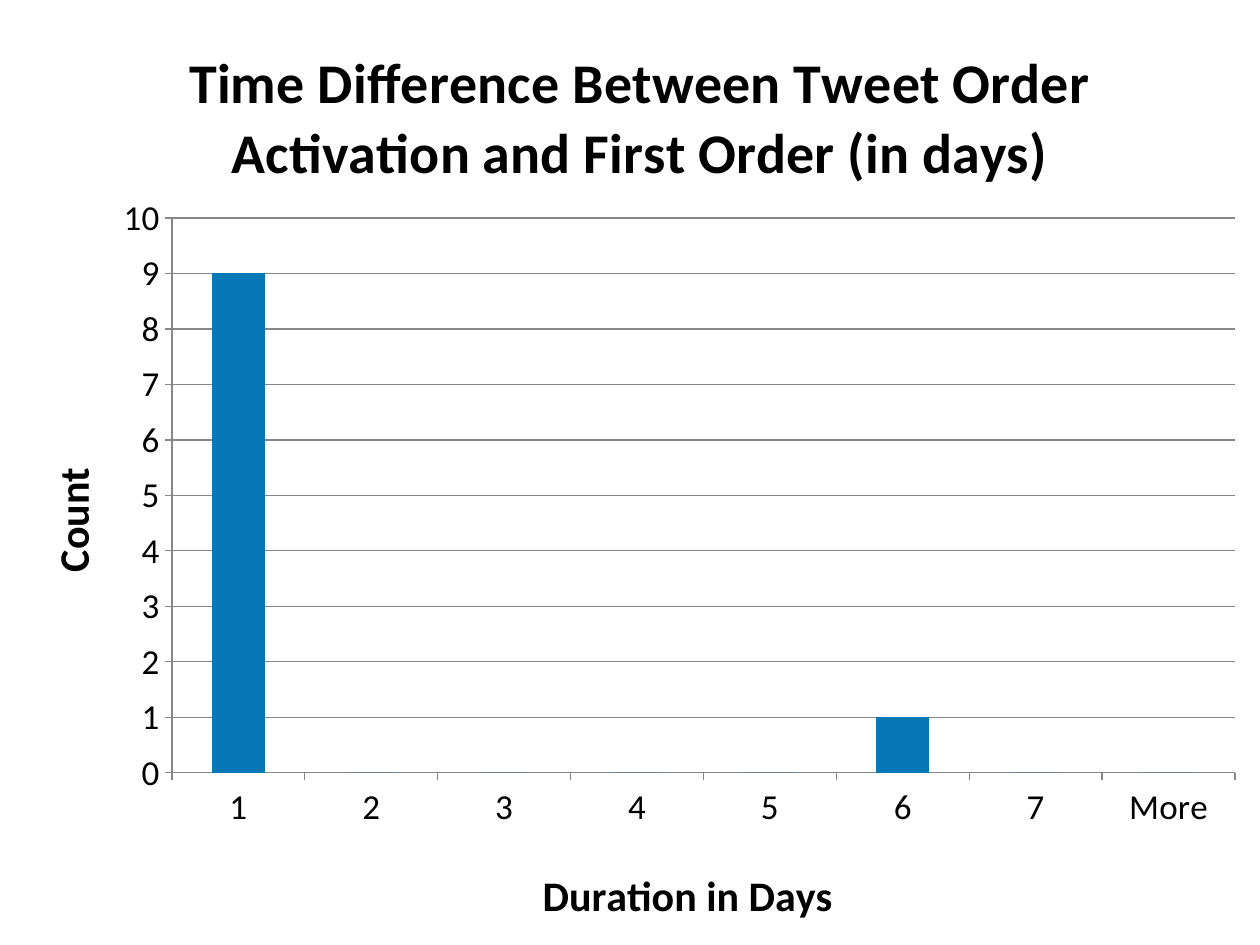
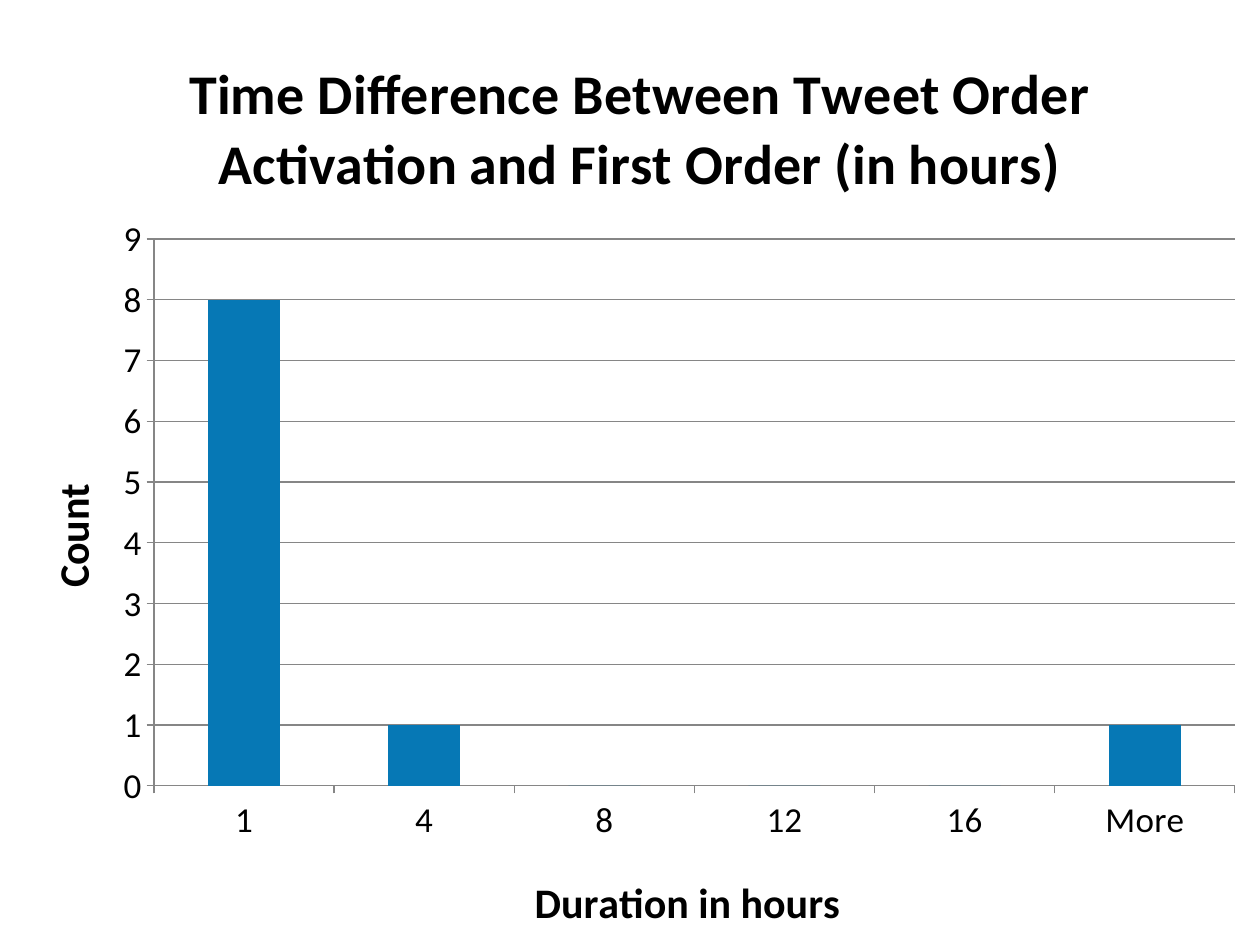
from pptx import Presentation, util as u
from pptx.chart import data as cd
from pptx.dml import color
from pptx.enum import chart as ce
from pptx.oxml import parse_xml
from pptx.oxml.ns import qn

PX = 914400 // 126
WIDE, HIGH = 1260, 945
FONT = "Calibri"
HUES = {"page": "FFFFFF", "ink": "000000", "bar": "0678B5", "rule": "868686"}
NS = "http://schemas.openxmlformats.org/drawingml/2006/chart"


def rgb(name):
    """Look up a named colour."""
    return color.RGBColor.from_string(HUES[name])


def style(font, size, bold=False):
    """Apply the shared typeface and ink to a font."""
    font.name, font.size, font.bold = FONT, u.Pt(size), bold
    font.color.rgb = rgb("ink")


def layout(left, top, width=None, height=None):
    """Build a manual chart layout from px."""
    plot = width is not None
    parts = ['<c:layoutTarget val="inner"/>'] if plot else []
    parts += ['<c:xMode val="edge"/><c:yMode val="edge"/>']
    parts += [f'<c:x val="{left / WIDE:.4f}"/><c:y val="{top / HIGH:.4f}"/>']
    if plot:
        parts += [f'<c:w val="{width / WIDE:.4f}"/><c:h val="{height / HIGH:.4f}"/>']
    body = "".join(parts)
    return parse_xml(f'<c:layout xmlns:c="{NS}"><c:manualLayout>{body}</c:manualLayout></c:layout>')


def label(owner, words, size=24, spot=(0, 0)):
    """Give a chart or an axis a bold title at a px spot."""
    owner.has_title = True
    title = owner.chart_title if hasattr(owner, "chart_title") else owner.axis_title
    para = title.text_frame.paragraphs[0]
    run = para.add_run()
    run.text = words
    style(para.font, size, bold=True)
    style(run.font, size, bold=True)
    node = title.element
    for old in node.findall(qn("c:layout")):
        node.remove(old)
    node.find(qn("c:tx")).addnext(layout(*spot))


def ruler(axis):
    """Style the line, ticks and labels of an axis."""
    axis.major_tick_mark = ce.XL_TICK_MARK.OUTSIDE
    axis.minor_tick_mark = ce.XL_TICK_MARK.NONE
    style(axis.tick_labels.font, 20)
    axis.format.line.color.rgb = rgb("rule")
    axis.format.line.width = u.Pt(0.75)


def place(chart, box):
    """Fix the inner plot area to a px box."""
    area = chart.element.find(".//" + qn("c:plotArea"))
    for old in area.findall(qn("c:layout")):
        area.remove(old)
    area.insert(0, layout(*box))


def bars(deck, unit, name, cats, vals, top, box, spots):
    """Add a slide filled by one histogram."""
    slide = deck.slides.add_slide(deck.slide_layouts[6])
    slide.background.fill.solid()
    slide.background.fill.fore_color.rgb = rgb("page")
    data = cd.CategoryChartData()
    data.categories = cats
    data.add_series("Series 1", vals)
    chart = slide.shapes.add_chart(
        ce.XL_CHART_TYPE.COLUMN_CLUSTERED, 0, 0, WIDE * PX, HIGH * PX, data).chart
    style(chart.font, 10)
    chart.has_legend = False
    head, base, side = spots
    words = f"Time Difference Between Tweet Order Activation and First Order (in {unit})"
    label(chart, words, size=32, spot=head)
    label(chart.category_axis, f"Duration in {name}", spot=base)
    label(chart.value_axis, "Count", spot=side)
    for axis in (chart.category_axis, chart.value_axis):
        ruler(axis)
    scale = chart.value_axis
    scale.minimum_scale, scale.maximum_scale, scale.major_unit = 0, top, 1
    scale.has_major_gridlines = True
    grid = scale.major_gridlines.format.line
    grid.color.rgb, grid.width = rgb("rule"), u.Pt(0.75)
    plot = chart.plots[0]
    plot.gap_width, plot.vary_by_categories = 150, False
    fill = plot.series[0].format.fill
    fill.solid()
    fill.fore_color.rgb = rgb("bar")
    place(chart, box)


def main():
    """Build both histogram slides."""
    deck = Presentation()
    deck.slide_width, deck.slide_height = WIDE * PX, HIGH * PX
    bars(deck, "days", "Days", ["1", "2", "3", "4", "5", "6", "7", "More"],
         [9, 0, 0, 0, 0, 1, 0, 0], 10, (172, 218, 1063, 555),
         [(179, 33), (535, 860), (37, 460)])
    bars(deck, "hours", "hours", ["1", "4", "8", "12", "16", "More"],
         [8, 1, 0, 0, 0, 1], 9, (154, 239, 1081, 547),
         [(179, 44), (527, 867), (37, 476)])
    deck.save("out.pptx")


if __name__ == "__main__":
    main()
